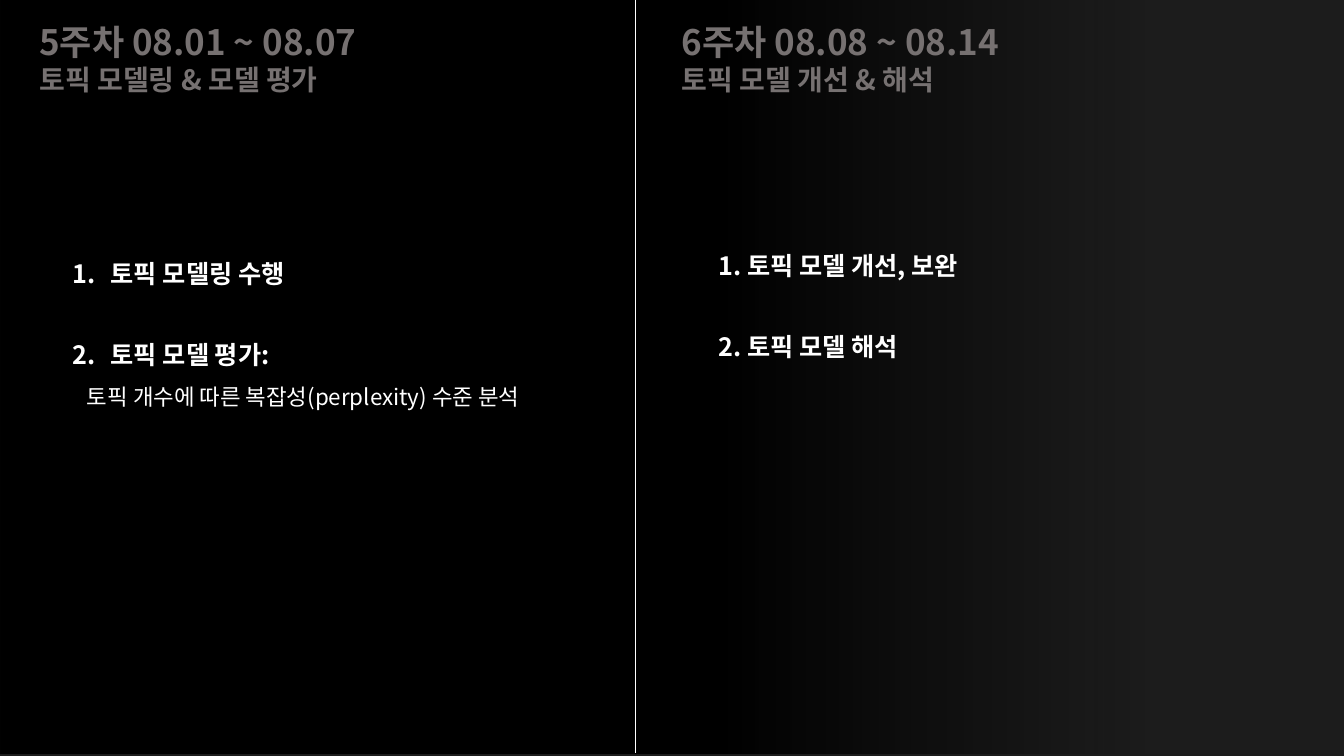
from lxml import etree
from pptx import Presentation
from pptx.dml.color import RGBColor
from pptx.enum.shapes import MSO_CONNECTOR, MSO_SHAPE
from pptx.enum.text import MSO_AUTO_SIZE
from pptx.oxml.ns import qn
from pptx.util import Pt

RECTANGLE = MSO_SHAPE.RECTANGLE
STRAIGHT = MSO_CONNECTOR.STRAIGHT
GROW = MSO_AUTO_SIZE.SHAPE_TO_FIT_TEXT

COLORS = {"backdrop": "1C1C1C", "shade": "000000", "shade_end": "050505",
          "heading": "767171", "body": "FFFFFF"}
LIST_SPACING = {"line_spacing": 1.07, "space_after": Pt(8)}
ITEM_GAP = {**LIST_SPACING, "space_after": Pt(35)}
HANGING = {"marL": 27, "indent": -27}
FIRST_LINE = {"marL": 0, "indent": 10}


class Deck:
    """Holds the style and the current slide."""

    def __init__(self, width, height):
        """Start a presentation with one blank slide."""
        self.font = "Noto Sans CJK KR"
        self.prs = Presentation()
        self.prs.slide_width, self.prs.slide_height = Pt(width), Pt(height)
        self.slide = self.prs.slides.add_slide(self.prs.slide_layouts[6])

    def color(self, name):
        """Return the named colour."""
        return RGBColor.from_string(COLORS[name])

    def background(self, name):
        """Fill the slide background."""
        fill = self.slide.background.fill
        fill.solid()
        fill.fore_color.rgb = self.color(name)

    def gradient(self, box, stops):
        """Add a left-to-right gradient; stops are percent, colour, opacity."""
        panel = self.slide.shapes.add_shape(RECTANGLE, *map(Pt, box))
        panel.shadow.inherit = False
        panel.line.fill.background()
        panel.fill.gradient()
        panel.fill.gradient_angle = 0
        stop_list = next(panel._element.iter(qn("a:gsLst")))
        for old_stop in list(stop_list):
            stop_list.remove(old_stop)
        for percent, name, opacity in stops:
            stop = etree.SubElement(stop_list, qn("a:gs"), pos=str(percent * 1000))
            tone = etree.SubElement(stop, qn("a:srgbClr"), val=COLORS[name])
            etree.SubElement(tone, qn("a:alpha"), val=str(opacity * 1000))

    def text(self, box, color, lines):
        """Add a text box; each line is a dict of text and its formats."""
        area = self.slide.shapes.add_textbox(*map(Pt, box))
        frame = area.text_frame
        frame.word_wrap, frame.auto_size = True, GROW
        for index, line in enumerate(lines):
            paragraph = frame.add_paragraph() if index else frame.paragraphs[0]
            for name, value in line.get("spacing", {}).items():
                setattr(paragraph, name, value)
            properties = paragraph._p.get_or_add_pPr()
            for name, points in line.get("indents", {}).items():
                properties.set(name, str(int(Pt(points))))
            if line.get("numbered"):
                etree.SubElement(properties, qn("a:buFont"), typeface="+mj-lt")
                etree.SubElement(properties, qn("a:buAutoNum"), type="arabicPeriod")
            run = paragraph.add_run()
            run.text = line["text"]
            formats = {"name": self.font, "size": Pt(line["size"]),
                       "bold": line.get("bold", True)}
            for name, value in formats.items():
                setattr(run.font, name, value)
            run.font.color.rgb = self.color(color)
            etree.SubElement(run.font._element, qn("a:ea"), typeface=self.font)

    def heading(self, box, week, topic):
        """Add the week and its topic."""
        self.text(box, "heading", [{"text": week, "size": 25},
                                   {"text": topic, "size": 20}])

    def line(self, start, end, color, weight):
        """Add a straight line."""
        rule = self.slide.shapes.add_connector(STRAIGHT, *map(Pt, start + end))
        rule.line.color.rgb = self.color(color)
        rule.line.width = Pt(weight)
        etree.SubElement(rule._element.spPr, qn("a:effectLst"))


def main():
    """Build the two-week plan."""
    deck = Deck(960, 540)
    deck.background("backdrop")
    deck.gradient((-0.5, 0, 818, 538),
                  [(0, "shade", 100), (62, "shade", 100), (100, "shade_end", 0)])

    deck.heading((21, 11, 364, 64), "5주차 08.01 ~ 08.07", "토픽 모델링 & 모델 평가")
    numbered = {"size": 18, "indents": HANGING, "numbered": True}
    deck.text((45, 179.5, 531, 120), "body", [
        {**numbered, "text": "토픽 모델링 수행", "spacing": ITEM_GAP},
        {**numbered, "text": "토픽 모델 평가:", "spacing": LIST_SPACING},
        {"text": "토픽 개수에 따른 복잡성(perplexity) 수준 분석", "size": 16,
         "bold": False, "indents": FIRST_LINE, "spacing": LIST_SPACING}])

    deck.heading((480, 11, 338, 62), "6주차 08.08 ~ 08.14", "토픽 모델 개선 & 해석")
    typed = {"size": 18, "indents": FIRST_LINE}
    deck.text((496, 173.5, 440, 91), "body", [
        {**typed, "text": "1. 토픽 모델 개선, 보완", "spacing": ITEM_GAP},
        {**typed, "text": "2. 토픽 모델 해석", "spacing": LIST_SPACING}])

    deck.line((454, 0), (454, 538), "body", 0.5)
    deck.prs.save("out.pptx")


main()
